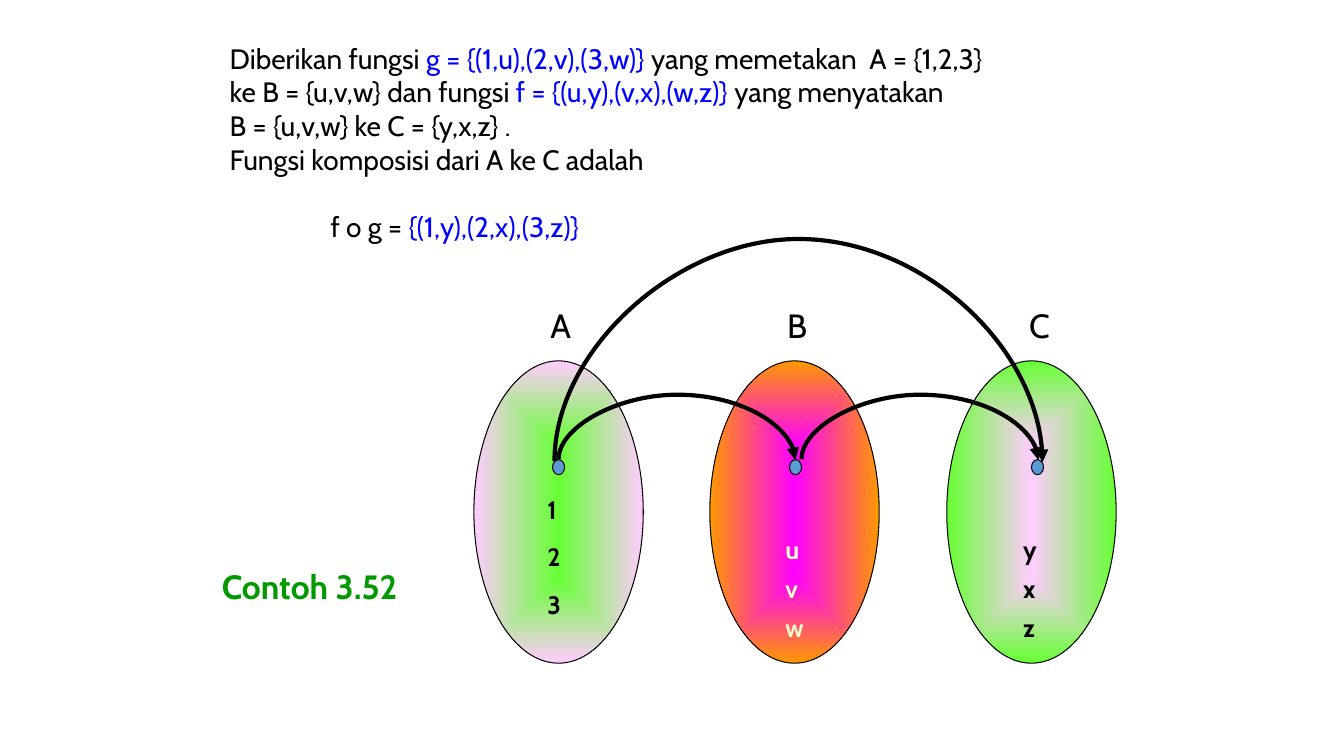
from dataclasses import dataclass

from pptx import Presentation
from pptx.dml.color import RGBColor
from pptx.enum.shapes import MSO_CONNECTOR as Connector, MSO_SHAPE as Shape
from pptx.enum.text import MSO_ANCHOR as Anchor, PP_ALIGN as Align
from pptx.oxml import parse_xml
from pptx.oxml.ns import nsdecls, qn
from pptx.util import Inches, Pt

BLACK, BLUE, GREEN, CREAM = "000000", "0000FF", "009900", "FFFFCC"
SET_TOP, SET_WIDTH, SET_HEIGHT = 3.58, 1.68, 3


@dataclass
class FunctionSet:
    """One oval of the mapping diagram, with offsets from its left edge."""
    name: str
    left: float
    inner: str
    outer: str
    dot: float
    member_left: float
    members: str
    member_top: float
    member_step: float
    member_color: str


SETS = [
    FunctionSet("A", 4.7, "66FF33", "FFCCFF", 0.78, 0.63, "123", 1.27, 0.475, BLACK),
    FunctionSet("B", 7.04, "FF00FF", "FF9900", 0.79, 0.65, "uvw", 1.67, 0.39, CREAM),
    FunctionSet("C", 9.39, "FFCCFF", "66FF33", 0.84, 0.66, "yxz", 1.67, 0.39, BLACK),
]

ARCS = [
    (5.54, 7.89, 4.56, 0.65),
    (7.95, 10.3, 4.56, 0.65),
    (5.5, 10.34, 4.58, 2.24),
]

PROBLEM = [
    [("Diberikan fungsi ", BLACK), ("g = {(1,u),(2,v),(3,w)}", BLUE),
     (" yang memetakan  A = {1,2,3}", BLACK)],
    [("ke B = {u,v,w} dan fungsi ", BLACK), ("f = {(u,y),(v,x),(w,z)}", BLUE),
     (" yang menyatakan", BLACK)],
    [("B = {u,v,w} ke C = {y,x,z} .", BLACK)],
    [("Fungsi komposisi dari A ke C adalah", BLACK)],
    [("f o g = ", BLACK), ("{(1,y),(2,x),(3,z)}", BLUE)],
]


def color(value):
    """Turn a hex string into a colour."""
    return RGBColor.from_string(value)


def assign(target, values):
    """Set every attribute named in a dict of format values."""
    for name, value in values.items():
        setattr(target, name, value)


def write(box, lines, size, bold=False):
    """Fill a text shape with lines made of coloured spans."""
    frame = box.text_frame
    assign(frame, {"word_wrap": True, "vertical_anchor": Anchor.TOP})
    for index, line in enumerate(lines):
        para = frame.paragraphs[0] if index == 0 else frame.add_paragraph()
        assign(para, {"alignment": Align.LEFT, "line_spacing": 1.0, "space_before": Pt(0)})
        for text, shade in line:
            span = para.add_run()
            span.text = text
            assign(span.font, {"name": "Cabin", "size": Pt(size), "bold": bold})
            span.font.color.rgb = color(shade)


def add_text(page, left, top, width, height, lines, size, bold=False):
    """Add a text box and write its lines."""
    box = page.shapes.add_textbox(*map(Inches, (left, top, width, height)))
    write(box, lines, size, bold)
    return box


def add_oval(page, left, top, width, height):
    """Add an unfilled ellipse with a thin black outline."""
    oval = page.shapes.add_shape(Shape.OVAL, *map(Inches, (left, top, width, height)))
    oval.shadow.inherit = False
    oval.fill.background()
    oval.line.color.rgb = color(BLACK)
    oval.line.width = Pt(0.75)
    return oval


def fill_from_centre(oval, inner, outer):
    """Give an ellipse a gradient that runs from its centre to its edge."""
    gradient = parse_xml(
        f'<a:gradFill {nsdecls("a")} rotWithShape="1"><a:gsLst>'
        f'<a:gs pos="0"><a:srgbClr val="{inner}"/></a:gs>'
        f'<a:gs pos="100000"><a:srgbClr val="{outer}"/></a:gs></a:gsLst>'
        '<a:path path="shape"><a:fillToRect l="50000" t="50000" r="50000" b="50000"/>'
        '</a:path></a:gradFill>')
    properties = oval.element.spPr
    properties.replace(properties.find(qn("a:noFill")), gradient)


def add_set(page, item, top):
    """Draw one set: oval, dot, name and members."""
    oval = add_oval(page, item.left, top, SET_WIDTH, SET_HEIGHT)
    fill_from_centre(oval, item.inner, item.outer)
    dot_left = item.left + item.dot
    dot = add_oval(page, dot_left, top + 0.98, 0.12, 0.15)
    dot.fill.solid()
    dot.fill.fore_color.rgb = color("5B9BD5")
    add_text(page, dot_left - 0.12, top - 0.6, 0.4, 0.5, [[(item.name, BLACK)]], 24)
    for index, member in enumerate(item.members):
        add_text(page, item.left + item.member_left,
                 top + item.member_top + index * item.member_step,
                 0.42, 0.4, [[(member, item.member_color)]], 18, True)


def add_arc(page, start, end, base, rise):
    """Draw a curved arrow between two points on one level, bowed upwards."""
    depth, length = 0.01, end - start
    left, top = (start + end - depth) / 2, base - length / 2
    arc = page.shapes.add_connector(
        Connector.CURVE, *map(Inches, (left, top, left + depth, top + length)))
    arc.line.color.rgb = color(BLACK)
    arc.line.width = Pt(3)
    properties = arc.element.spPr
    for name, value in {"rot": "5400000", "flipV": "1"}.items():
        properties.find(qn("a:xfrm")).set(name, value)
    bend = round(-rise / depth * 100000)
    guides = properties.find(qn("a:prstGeom")).get_or_add_avLst()
    guides.append(parse_xml(f'<a:gd {nsdecls("a")} name="adj1" fmla="val {bend}"/>'))
    properties.find(qn("a:ln")).append(parse_xml(f'<a:tailEnd {nsdecls("a")} type="triangle"/>'))
    properties.append(parse_xml(f'<a:effectLst {nsdecls("a")}/>'))


def add_title(page, left, top, width, height):
    """Place the example number in the title placeholder."""
    title = page.shapes.title
    assign(title, dict(zip(("left", "top", "width", "height"),
                           map(Inches, (left, top, width, height)))))
    write(title, [[("Contoh 3.52", GREEN)]], 24, True)


def add_problem(page, left, top, width, height):
    """Write the problem and its indented answer."""
    box = add_text(page, left, top, width, height, PROBLEM, 20)
    answer = box.text_frame.paragraphs[-1]
    answer.space_before = Pt(24)
    answer._p.get_or_add_pPr().set("marL", str(Inches(1)))


def add_diagram(page, top):
    """Draw the three sets and the arrows that link them."""
    for item in SETS:
        add_set(page, item, top)
    for arc in ARCS:
        add_arc(page, *arc)


def main():
    """Build the slide and save it."""
    deck = Presentation()
    assign(deck, {"slide_width": Inches(13.33), "slide_height": Inches(7.5)})
    page = deck.slides.add_slide(deck.slide_layouts[5])
    add_title(page, 2.1, 5.56, 2.24, 0.5)
    add_problem(page, 2.18, 0.36, 8.96, 2.1)
    add_diagram(page, SET_TOP)
    deck.save("out.pptx")


if __name__ == "__main__":
    main()
